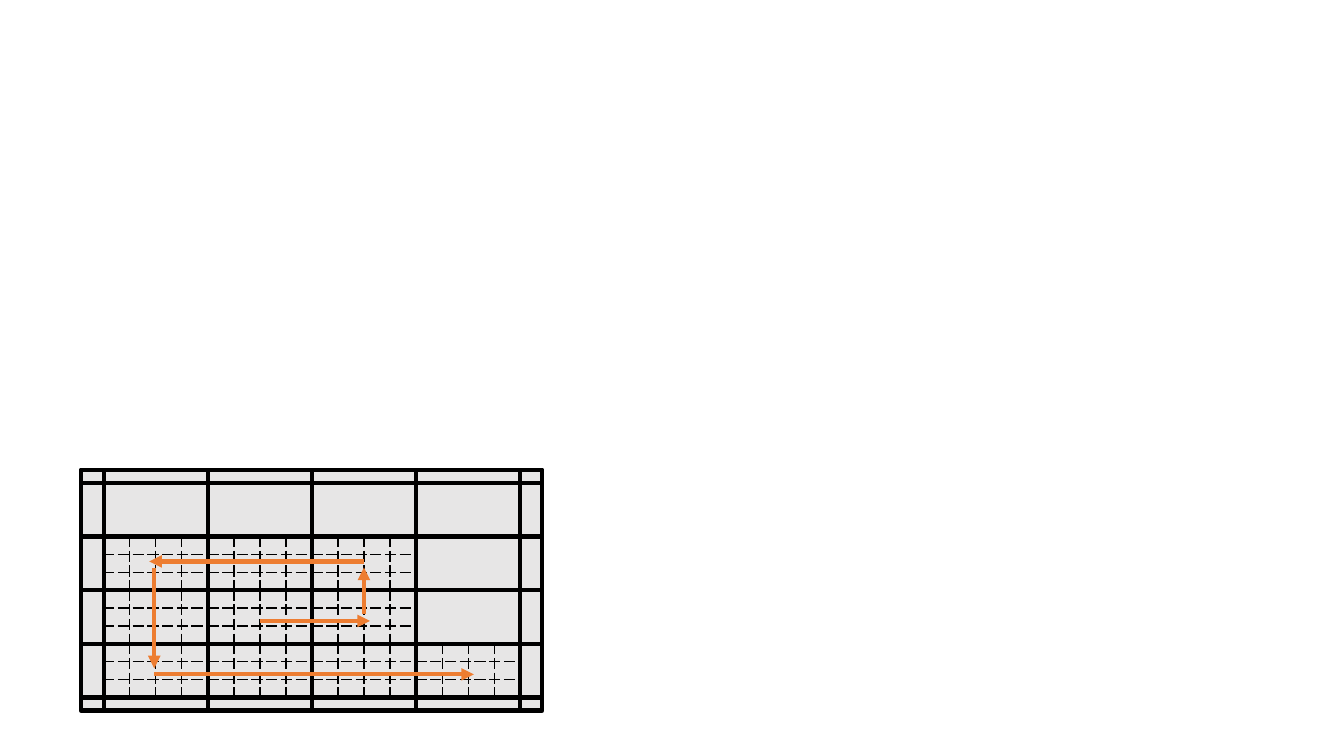
import dataclasses
import typing

import pptx
import pptx.dml.color
import pptx.enum.shapes
import pptx.oxml
import pptx.oxml.ns
import pptx.shapes.connector
import pptx.slide
import pptx.util


@dataclasses.dataclass(frozen=True)
class Theme:
    panel: str = "E7E6E6"
    ink: str = "000000"
    route: str = "ED7D31"
    heavy_line: float = 3
    dash_line: float = 1
    cell_size: float = 6
    font: str = "Calibri"


class Box(typing.NamedTuple):
    left: float
    top: float
    width: float
    height: float


class Arrow(typing.NamedTuple):
    start: tuple[float, float]
    end: tuple[float, float]


THEME = Theme()
FRAME = Box(0.8, 4.66, 4.58, 2.39)
TILES = Box(1.03, 4.79, 4.13, 2.13)
TILE_COUNT = 4
TILE_WIDTH = TILES.width / TILE_COUNT
TILE_HEIGHT = TILES.height / TILE_COUNT
MESH_ROWS, MESH_COLUMNS = 3, 4
MESHED_TILES_BY_ROW = {1: 3, 2: 3, 3: 4}
ROUTE = [
    Arrow((2.58, 6.16), (3.67, 6.16)),
    Arrow((3.61, 6.09), (3.61, 5.63)),
    Arrow((3.61, 5.57), (1.48, 5.57)),
    Arrow((1.53, 5.64), (1.53, 6.63)),
    Arrow((1.53, 6.69), (4.7, 6.69)),
]


def color(value: str) -> pptx.dml.color.RGBColor:
    return pptx.dml.color.RGBColor.from_string(value)


def inches(values: typing.Iterable[float]) -> list[pptx.util.Length]:
    return [pptx.util.Inches(value) for value in values]


def add_box(slide: pptx.slide.Slide, box: Box, filled: bool) -> None:
    shape = slide.shapes.add_shape(
        pptx.enum.shapes.MSO_SHAPE.RECTANGLE, *inches(box)
    )
    shape.shadow.inherit = False
    if filled:
        shape.fill.solid()
        shape.fill.fore_color.rgb = color(THEME.panel)
    else:
        shape.fill.background()
    shape.line.color.rgb = color(THEME.ink)
    shape.line.width = pptx.util.Pt(THEME.heavy_line)


def add_mesh(slide: pptx.slide.Slide, box: Box) -> None:
    frame = slide.shapes.add_table(MESH_ROWS, MESH_COLUMNS, *inches(box))
    table = frame.table
    table.first_row = False
    table.horz_banding = False
    for column in table.columns:
        column.width = pptx.util.Inches(box.width / MESH_COLUMNS)
    for row in table.rows:
        row.height = pptx.util.Inches(box.height / MESH_ROWS)
    for cell in table.iter_cells():
        format_mesh_cell(cell)


def format_mesh_cell(cell: typing.Any) -> None:
    namespace = pptx.oxml.ns.nsdecls("a")
    cell.margin_left = cell.margin_right = 0
    cell.margin_top = cell.margin_bottom = 0
    properties = cell._tc.get_or_add_tcPr()
    for side in "LRTB":
        properties.append(pptx.oxml.parse_xml(
            f'<a:ln{side} {namespace} w="{pptx.util.Pt(THEME.dash_line)}">'
            f'<a:solidFill><a:srgbClr val="{THEME.ink}"/></a:solidFill>'
            f'<a:prstDash val="dash"/></a:ln{side}>'
        ))
    cell.fill.background()
    paragraph = cell.text_frame.paragraphs[0]
    paragraph._p.append(pptx.oxml.parse_xml(
        f'<a:endParaRPr {namespace} sz="{int(THEME.cell_size * 100)}">'
        f'<a:latin typeface="{THEME.font}"/></a:endParaRPr>'
    ))


def add_arrow(slide: pptx.slide.Slide, arrow: Arrow) -> None:
    connector = slide.shapes.add_connector(
        pptx.enum.shapes.MSO_CONNECTOR.STRAIGHT,
        *inches(arrow.start + arrow.end),
    )
    connector.line.color.rgb = color(THEME.route)
    connector.line.width = pptx.util.Pt(THEME.heavy_line)
    namespace = pptx.oxml.ns.nsdecls("a")
    connector.line._get_or_add_ln().append(
        pptx.oxml.parse_xml(f'<a:tailEnd {namespace} type="triangle"/>')
    )
    connector._element.spPr.append(
        pptx.oxml.parse_xml(f"<a:effectLst {namespace}/>")
    )


def main() -> None:
    presentation = pptx.Presentation()
    presentation.slide_width = pptx.util.Inches(13.33)
    presentation.slide_height = pptx.util.Inches(7.5)
    slide = presentation.slides.add_slide(presentation.slide_layouts[6])

    add_box(slide, FRAME, filled=True)
    for column in range(TILE_COUNT):
        left = TILES.left + column * TILE_WIDTH
        add_box(slide, Box(left, FRAME.top, TILE_WIDTH, FRAME.height), filled=True)
    for row in range(TILE_COUNT):
        top = TILES.top + row * TILE_HEIGHT
        add_box(slide, Box(FRAME.left, top, FRAME.width, TILE_HEIGHT), filled=False)

    for row, tile_count in MESHED_TILES_BY_ROW.items():
        top = TILES.top + row * TILE_HEIGHT
        for column in range(tile_count):
            left = TILES.left + column * TILE_WIDTH
            add_mesh(slide, Box(left, top, TILE_WIDTH, TILE_HEIGHT))

    for arrow in ROUTE:
        add_arrow(slide, arrow)

    presentation.save("out.pptx")


if __name__ == "__main__":
    main()
